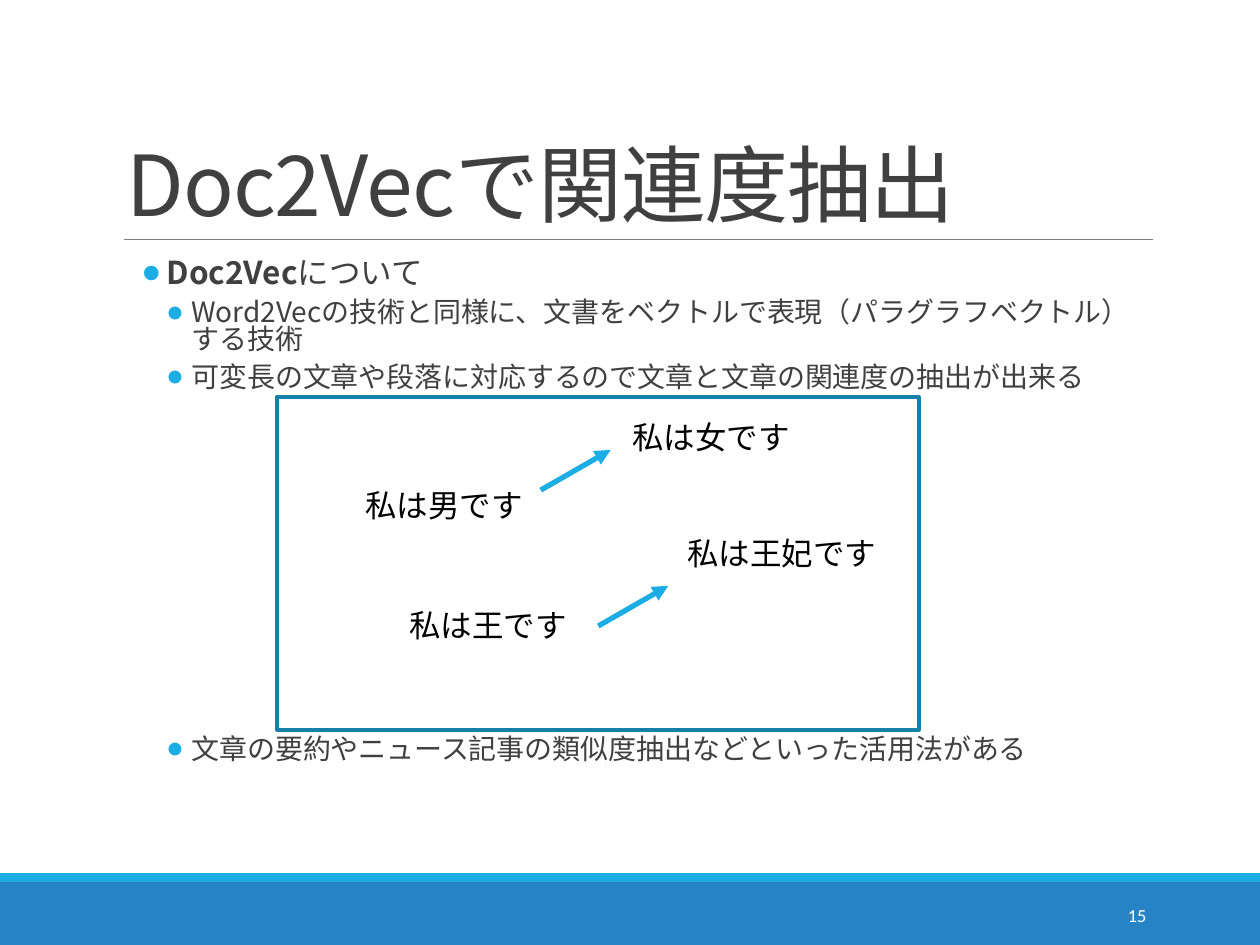
from lxml import etree
from pptx import Presentation
from pptx import util as u
from pptx.dml.color import RGBColor
from pptx.enum import shapes, text
from pptx.oxml import ns

BLUE = RGBColor(0x26, 0x83, 0xC6)
CYAN = RGBColor(0x1C, 0xAD, 0xE4)
FRAME = RGBColor(0x15, 0x80, 0xA9)
GRAY = RGBColor(0x80, 0x80, 0x80)
DARK = RGBColor(0x40, 0x40, 0x40)
BLACK = RGBColor(0, 0, 0)
WHITE = RGBColor(0xFF, 0xFF, 0xFF)
CJK = "Noto Sans CJK JP"
LATIN = "Calibri"


def add_xml(parent, tag, **attributes):
    return etree.SubElement(parent, ns.qn(tag), attributes)


def write(para, words, font=CJK, size=18, color=DARK, bold=False, spacing=None):
    span = para.add_run()
    span.text = words
    span.font.size = u.Pt(size)
    span.font.bold = bold
    span.font.color.rgb = color
    span.font.name = font
    properties = span.font._element
    add_xml(properties, "a:ea", typeface=CJK)
    if spacing is not None:
        properties.set("spc", str(round(spacing * 100)))


class SlideBuilder:
    """Hold the style and the current slide, and add each kind of element."""

    def __init__(self, deck):
        self.page = deck.slides.add_slide(deck.slide_layouts[5])

    def title(self, words, left, top, width, height):
        box = self.page.shapes.title
        box.left, box.top, box.width, box.height = map(u.Cm, (left, top, width, height))
        frame = box.text_frame
        frame.auto_size = text.MSO_AUTO_SIZE.NONE
        frame.vertical_anchor = text.MSO_ANCHOR.BOTTOM
        para = frame.paragraphs[0]
        para.alignment = text.PP_ALIGN.LEFT
        para.line_spacing = 0.85
        write(para, words, size=48, spacing=-0.5)

    def rectangle(self, left, top, width, height, fill=None, line=None):
        box = self.page.shapes.add_shape(
            shapes.MSO_SHAPE.RECTANGLE, *map(u.Cm, (left, top, width, height)))
        box.shadow.inherit = False
        if fill is None:
            box.fill.background()
        else:
            box.fill.solid()
            box.fill.fore_color.rgb = fill
        if line is None:
            box.line.fill.background()
        else:
            box.line.color.rgb = line
            box.line.width = u.Pt(2.25)

    def line(self, start, end, color, width, arrow=False):
        line = self.page.shapes.add_connector(
            shapes.MSO_CONNECTOR.STRAIGHT, *map(u.Cm, start + end))
        line.line.color.rgb = color
        line.line.width = u.Pt(width)
        if arrow:
            add_xml(line.line._get_or_add_ln(), "a:tailEnd", type="triangle")
        add_xml(line._element.spPr, "a:effectLst")

    def frame(self, left, top, width, height):
        box = self.page.shapes.add_textbox(*map(u.Cm, (left, top, width, height)))
        box.text_frame.word_wrap = True
        return box.text_frame

    def label(self, words, left, top, width=4.6, size=18, color=BLACK,
              align=text.PP_ALIGN.LEFT, anchor=text.MSO_ANCHOR.TOP):
        frame = self.frame(left, top, width, 1.02)
        frame.vertical_anchor = anchor
        para = frame.paragraphs[0]
        para.alignment = align
        write(para, words, font=LATIN, size=size, color=color)

    def bullets(self, items, left, top, width, height):
        frame = self.frame(left, top, width, height)
        frame.margin_left = frame.margin_right = 0
        for index, (indent, before, spans) in enumerate(items):
            para = frame.add_paragraph() if index else frame.paragraphs[0]
            para.line_spacing = 0.8
            para.space_before = u.Pt(before)
            para.space_after = u.Pt(4)
            properties = para._p.get_or_add_pPr()
            properties.set("marL", str(u.Cm(indent)))
            properties.set("indent", str(-u.Cm(0.5)))
            add_xml(add_xml(properties, "a:buClr"), "a:srgbClr", val=str(CYAN))
            add_xml(properties, "a:buFont", typeface=LATIN)
            add_xml(properties, "a:buChar", char="●")
            for words, style in spans:
                write(para, words, **style)


def main():
    deck = Presentation()
    deck.slide_width, deck.slide_height = u.Cm(25.4), u.Cm(19.05)
    slide = SlideBuilder(deck)

    slide.rectangle(0, 17.78, 25.4, 1.27, fill=BLUE)
    slide.rectangle(0, 17.6, 25.4, 0.18, fill=CYAN)
    slide.line((2.49, 4.83), (23.24, 4.83), GRAY, 0.5)
    slide.title("Doc2Vecで関連度抽出", 2.29, 0.79, 20.95, 4.04)

    detail = {"size": 16}
    slide.bullets([
        (1.07, 2, [("Doc2Vec", {"bold": True}), ("について", {})]),
        (1.57, 2, [("Word2Vecの技術と同様に、文書をベクトルで表現（パラグラフベクトル）する技術", detail)]),
        (1.57, 2, [("可変長の文章や段落に対応するので文章と文章の関連度の抽出が出来る", detail)]),
        (1.57, 193.5, [("文章の要約やニュース記事の類似度抽出などといった活用法がある", detail)]),
    ], 2.29, 5.13, 20.95, 11.18)

    slide.rectangle(5.59, 8, 12.93, 6.71, line=FRAME)
    for words, left, top in (
        ("私は男です", 7.11, 9.68),
        ("私は女です", 12.5, 8.31),
        ("私は王妃です", 13.61, 10.64),
        ("私は王です", 8, 12.09),
    ):
        slide.label(words, left, top)
    for left, bottom in ((10.9, 9.88), (12.06, 12.62)):
        slide.line((left, bottom), (left + 1.41, bottom - 0.81), CYAN, 3, arrow=True)

    slide.label("15", 20.62, 17.93, width=2.74, size=10.5, color=WHITE,
                align=text.PP_ALIGN.RIGHT, anchor=text.MSO_ANCHOR.MIDDLE)
    deck.save("out.pptx")


if __name__ == "__main__":
    main()
